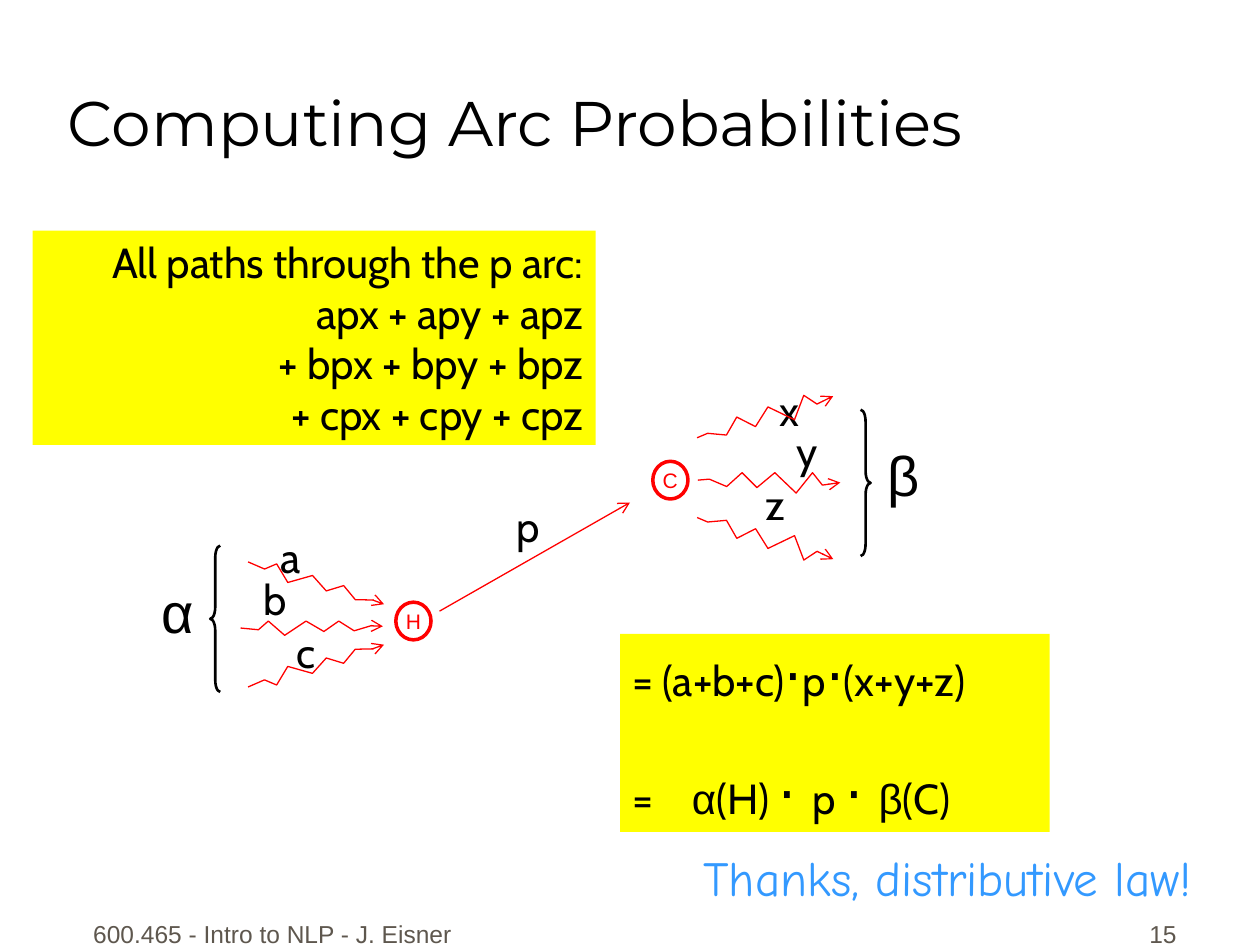
from pptx import Presentation
from pptx.dml.color import RGBColor
from pptx.enum.shapes import MSO_CONNECTOR, MSO_SHAPE
from pptx.enum.text import MSO_ANCHOR, PP_ALIGN
from pptx.oxml.ns import qn
from pptx.util import Cm, Pt
from lxml import etree

LEFT, MID, RIGHT = PP_ALIGN.LEFT, PP_ALIGN.CENTER, PP_ALIGN.RIGHT
TOP, CORE, BASE = MSO_ANCHOR.TOP, MSO_ANCHOR.MIDDLE, MSO_ANCHOR.BOTTOM
OVAL, STRAIGHT = MSO_SHAPE.OVAL, MSO_CONNECTOR.STRAIGHT
OPEN, CLOSE = MSO_SHAPE.LEFT_BRACE, MSO_SHAPE.RIGHT_BRACE
RED, BLACK, GREY, BLUE = "FF0000", "000000", "5E574E", "3399FF"


def paint(target, code):
    if hasattr(target, "solid"):
        target.solid()
        target.fore_color.rgb = RGBColor.from_string(code)
    else:
        target.color.rgb = RGBColor.from_string(code)


def write(shape, lines, form, side=MID, code=BLACK):
    frame = shape.text_frame
    for name, value in form.items():
        setattr(frame, name, value)
    for row, runs in enumerate(lines):
        para = frame.paragraphs[0] if row == 0 else frame.add_paragraph()
        para.alignment = side
        for words, size, face in runs:
            run = para.add_run()
            run.text = words
            for name, value in {"size": Pt(size), "name": face}.items():
                setattr(run.font, name, value)
            paint(run.font, code)


deck = Presentation()
deck.slide_width, deck.slide_height = Cm(25.4), Cm(19.05)
slide = deck.slides.add_slide(deck.slide_layouts[6])
shapes = slide.shapes

loose = {"word_wrap": False, "vertical_anchor": TOP}
block = {"word_wrap": True, "vertical_anchor": TOP}
floor = {"word_wrap": True, "vertical_anchor": BASE}

texts = [
    ("600.465 - Intro to NLP - J. Eisner", 1.47, 17.98, 8.05, 1.27, 14, "Arial", GREY, MID, floor),
    ("15", 18.69, 17.98, 5.28, 1.27, 14, "Arial", GREY, RIGHT, floor),
    ("Computing Arc Probabilities", 1.12, 0.15, 23.65, 3.18, 36, "Montserrat", BLACK, LEFT, floor),
    ("α", 2.97, 11.51, 1.22, 1.63, 32, "Arial", BLACK, MID, loose),
    ("β", 17.65, 8.76, 1.12, 1.63, 32, "Arial", BLACK, MID, loose),
    ("Thanks, distributive law!", 13.92, 16.97, 10.36, 1.45, 28, "Comic Neue", BLUE, MID, loose),
]
labels = [
    ("p", 10.13, 9.96, 1.02), ("x", 15.44, 7.62, 0.94), ("y", 15.8, 8.46, 0.94),
    ("z", 15.19, 9.53, 0.89), ("a", 5.38, 10.59, 0.97), ("b", 5.03, 11.43, 1.02),
    ("c", 5.72, 12.5, 0.91),
]
texts += [(*label, 1.27, 24, "Cabin", BLACK, MID, loose) for label in labels]

for words, x, y, wide, high, size, face, code, side, form in texts:
    box = shapes.add_textbox(Cm(x), Cm(y), Cm(wide), Cm(high))
    write(box, [[(words, size, face)]], form, side, code)

tight = {"word_wrap": False, "vertical_anchor": CORE}
for name, x, y in [("C", 13.16, 9.3), ("H", 7.98, 12.14)]:
    node = shapes.add_shape(OVAL, Cm(x), Cm(y), Cm(0.71), Cm(0.76))
    node.shadow.inherit = False
    node.fill.background()
    paint(node.line, RED)
    node.line.width = Pt(2)
    write(node, [[(name, 12, "Arial")]], tight, MID, RED)

arc = shapes.add_connector(STRAIGHT, Cm(8.86), Cm(12.32), Cm(12.7), Cm(10.13))
etree.SubElement(arc.element.spPr, qn("a:effectLst"))
arrows = [(arc, "a:tailEnd")]

zigzag = [(0, 0.15), (0.23, 0.13), (0.58, 0.28), (0.89, 0), (1.19, 0.3),
          (1.55, 0), (1.98, 0.41), (2.31, 0), (2.51, 0.25), (2.87, 0.2)]
waves = [
    (14.07, 9.53, False, False, 0), (14, 8.23, False, False, 342), (14, 10.62, False, True, 18),
    (4.85, 12.52, True, False, 0), (4.93, 11.63, True, False, 18), (4.93, 13.26, True, True, 342),
]
for x, y, back, flip, turn in waves:
    scale = 0.7 if back else 1
    dots = [(Cm(x + (2.87 - dx if back else dx)),
             Cm(y + scale * (0.41 - dy if flip else dy))) for dx, dy in zigzag]
    pen = shapes.build_freeform(*dots[0])
    pen.add_line_segments(dots[1:], close=False)
    wave = pen.convert_to_shape()
    wave.shadow.inherit = False
    wave.fill.background()
    wave.rotation = turn
    arrows.append((wave, "a:headEnd" if back else "a:tailEnd"))

for shape, end in arrows:
    paint(shape.line, RED)
    shape.line.width = Pt(0.75)
    etree.SubElement(shape.line._get_or_add_ln(), qn(end), type="arrow")

for kind, x, y in [(OPEN, 4.24, 11), (CLOSE, 17.35, 8.26)]:
    brace = shapes.add_shape(kind, Cm(x), Cm(y), Cm(0.2), Cm(2.95))
    brace.shadow.inherit = False
    brace.adjustments[0] = 1.2
    brace.fill.background()
    paint(brace.line, BLACK)
    brace.line.width = Pt(1.5)

sums = ["All paths through the p arc:", "apx + apy + apz", "+ bpx + bpy + bpz", "+ cpx + cpy + cpz"]
dot = ("⋅", 32, "Arial")
gap = ("⋅ ", 32, "Arial")
terms = [
    [("= (a+b+c)", 24, "Cabin"), dot, ("p", 24, "Cabin"), dot, ("(x+y+z)", 24, "Cabin")],
    [("=\t", 24, "Cabin"), ("α", 24, "Arial"), ("(H) ", 24, "Cabin"), gap,
     ("p ", 24, "Cabin"), gap, ("β", 24, "Arial"), ("(C)", 24, "Cabin")],
]
panels = [
    (0.66, 4.65, 11.35, 4.32, [[(words, 24, "Cabin")] for words in sums], RIGHT),
    (12.5, 12.78, 8.66, 3.99, terms, LEFT),
]
for x, y, wide, high, lines, side in panels:
    panel = shapes.add_shape(MSO_SHAPE.RECTANGLE, Cm(x), Cm(y), Cm(wide), Cm(high))
    panel.shadow.inherit = False
    paint(panel.fill, "FFFF00")
    panel.line.fill.background()
    write(panel, lines, block, side)

last = panel.text_frame.paragraphs[-1]
last.space_before = Pt(29)
tabs = etree.SubElement(last._p.get_or_add_pPr(), qn("a:tabLst"))
etree.SubElement(tabs, qn("a:tab"), pos=str(Cm(1.2)), algn="l")

deck.save("out.pptx")
